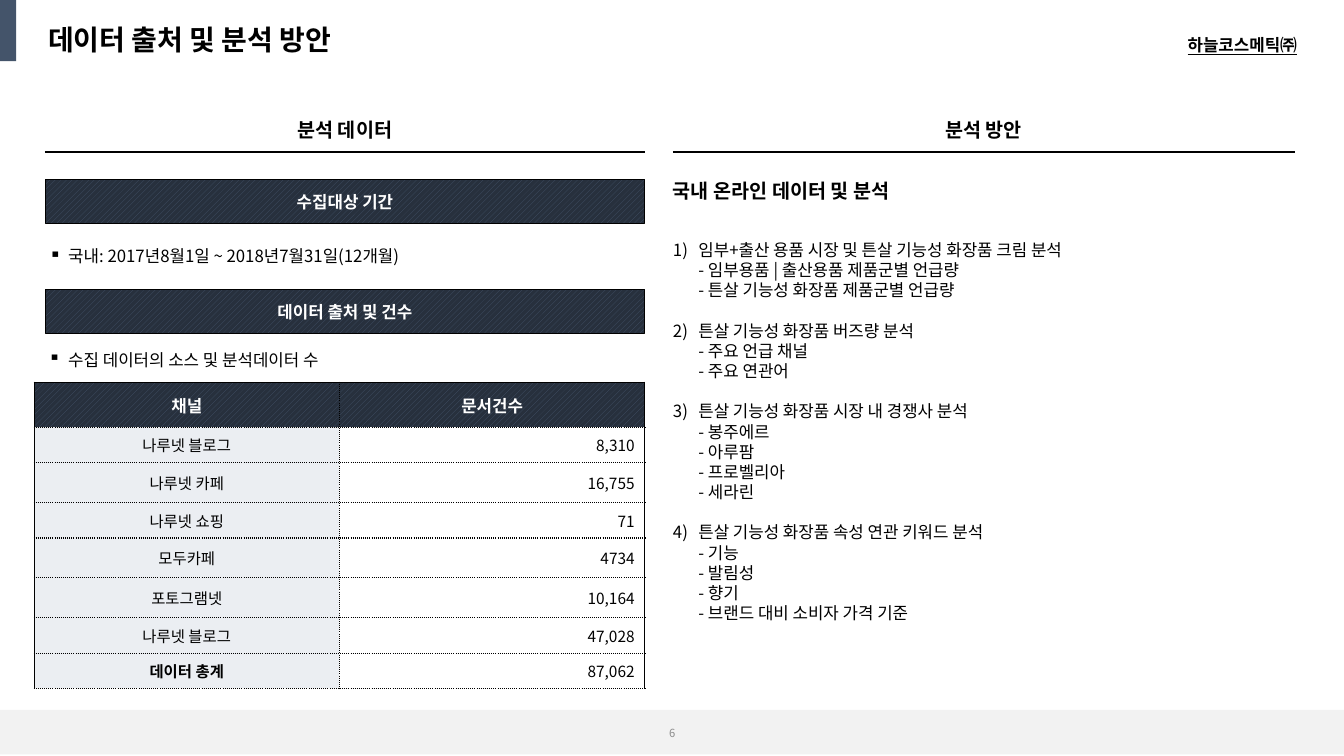
import pptx
import pptx.dml.color
import pptx.enum.dml
import pptx.enum.shapes
import pptx.enum.text
import pptx.oxml
import pptx.oxml.ns
import pptx.util

Cm = pptx.util.Cm
Pt = pptx.util.Pt
qn = pptx.oxml.ns.qn
ALIGN = pptx.enum.text.PP_ALIGN
MIDDLE = pptx.enum.text.MSO_ANCHOR.MIDDLE
TOP = pptx.enum.text.MSO_ANCHOR.TOP
NSDECL = pptx.oxml.ns.nsdecls("a")


def rgb(value):
    return pptx.dml.color.RGBColor.from_string(value)


def border(side, dash):
    return pptx.oxml.parse_xml(
        f'<a:{side} {NSDECL} w="12700"><a:solidFill><a:srgbClr val="000000"/></a:solidFill>'
        f'<a:prstDash val="{dash}"/></a:{side}>')


def write(p, text, size=12, color="000000", bold=False, underline=False,
          align=ALIGN.LEFT, after=0, spacing=None, bullet=None, indent=0.0):
    p.alignment = align
    p.space_before = Pt(0)
    p.space_after = Pt(after)
    if spacing:
        p.line_spacing = spacing
    if bullet:
        pPr = p._p.get_or_add_pPr()
        pPr.set("marL", str(Cm(indent)))
        pPr.set("indent", str(-Cm(indent)))
        pPr.append(pptx.oxml.parse_xml(bullet))
    for i, line in enumerate(text.split("\n")):
        if i:
            p.add_line_break()
        r = p.add_run()
        r.text = line
        r.font.size = Pt(size)
        r.font.bold = bold
        r.font.underline = underline
        r.font.color.rgb = rgb(color)
        r.font.name = Slide.font
        ea = r._r.get_or_add_rPr().makeelement(qn("a:ea"), {"typeface": Slide.font})
        r._r.get_or_add_rPr().append(ea)


class Slide:
    font = "Noto Sans CJK KR"
    navy = "44546A"
    dark = "27303D"
    square = f'<a:buChar {NSDECL} char="▪"/>'
    number = f'<a:buAutoNum {NSDECL} type="arabicParenR"/>'

    def __init__(self, prs):
        self.s = prs.slides.add_slide(prs.slide_layouts[5])

    def frame(self, sp, insets=(0.25, 0.13), anchor=TOP, wrap=True):
        tf = sp.text_frame
        tf.auto_size = pptx.enum.text.MSO_AUTO_SIZE.NONE
        tf.word_wrap = wrap
        tf.vertical_anchor = anchor
        tf.margin_left = tf.margin_right = Cm(insets[0])
        tf.margin_top = tf.margin_bottom = Cm(insets[1])
        return tf

    def hatch(self, fill):
        fill.patterned()
        fill.pattern = pptx.enum.dml.MSO_PATTERN.WIDE_UPWARD_DIAGONAL
        fill.fore_color.rgb = rgb(self.navy)
        fill.back_color.rgb = rgb(self.dark)

    def title(self, text, x, y, w, h):
        sp = self.s.shapes.title
        sp.left, sp.top, sp.width, sp.height = Cm(x), Cm(y), Cm(w), Cm(h)
        write(self.frame(sp, anchor=MIDDLE).paragraphs[0], text, size=20, bold=True)

    def text(self, text, x, y, w, h, insets=(0.25, 0.13), anchor=TOP, wrap=True, **fmt):
        sp = self.s.shapes.add_textbox(Cm(x), Cm(y), Cm(w), Cm(h))
        tf = self.frame(sp, insets, anchor, wrap)
        write(tf.paragraphs[0], text, **fmt)
        return tf

    def rect(self, x, y, w, h, fill=None):
        sp = self.s.shapes.add_shape(
            pptx.enum.shapes.MSO_SHAPE.RECTANGLE, Cm(x), Cm(y), Cm(w), Cm(h))
        sp.shadow.inherit = False
        if fill:
            sp.fill.solid()
            sp.fill.fore_color.rgb = rgb(fill)
            sp.line.fill.background()
        return sp

    def band(self, text, x, y, w, h):
        sp = self.rect(x, y, w, h)
        self.hatch(sp.fill)
        sp.line.color.rgb = rgb("000000")
        sp.line.width = Pt(0.5)
        write(self.frame(sp, (0.25, 0.03), MIDDLE).paragraphs[0], text,
              color="FFFFFF", bold=True, align=ALIGN.CENTER, spacing=1.1)

    def heading(self, text, x, y, w, line_x, line_w):
        self.text(text, x, y, w, 0.86, size=14, bold=True, align=ALIGN.CENTER)
        line = self.s.shapes.add_connector(
            pptx.enum.shapes.MSO_CONNECTOR.STRAIGHT,
            Cm(line_x), Cm(y + 1), Cm(line_x + line_w), Cm(y + 1))
        line.line.color.rgb = rgb("000000")
        line.line.width = Pt(1.5)
        line._element.spPr.append(pptx.oxml.parse_xml(f"<a:effectLst {NSDECL}/>"))

    def table(self, rows, heights, x, y, w):
        table = self.s.shapes.add_table(
            len(rows), 2, Cm(x), Cm(y), Cm(w), Cm(sum(heights))).table
        table.first_row = table.horz_banding = False
        for i, (row, height) in enumerate(zip(rows, heights)):
            table.rows[i].height = Cm(height)
            for j, text in enumerate(row):
                self.cell(table.cell(i, j), text, i, j, len(rows) - 1)

    def cell(self, cell, text, i, j, last):
        head = i == 0
        cell.vertical_anchor = MIDDLE
        if head or (i == last and j == 0):
            cell.margin_left = cell.margin_right = Cm(0.1)
            cell.margin_top = cell.margin_bottom = Cm(0.1)
        if head:
            self.hatch(cell.fill)
        else:
            cell.fill.solid()
            cell.fill.fore_color.rgb = rgb("FFFFFF" if j else "EBEEF2")
        solid = {"lnL": j == 0, "lnR": j == 1, "lnT": head, "lnB": False}
        for k, (side, on) in enumerate(solid.items()):
            cell._tc.get_or_add_tcPr().insert(k, border(side, "solid" if on else "sysDot"))
        write(cell.text_frame.paragraphs[0], text,
              size=12 if head else 11,
              color="FFFFFF" if head else "000000",
              bold=head or (i == last and j == 0),
              align=ALIGN.RIGHT if j and not head else ALIGN.CENTER)


COUNTS = [
    ("채널", "문서건수"),
    ("나루넷 블로그", "8,310"),
    ("나루넷 카페", "16,755"),
    ("나루넷 쇼핑", "71"),
    ("모두카페", "4734"),
    ("포토그램넷", "10,164"),
    ("나루넷 블로그", "47,028"),
    ("데이터 총계", "87,062"),
]
HEIGHTS = [1.14, 0.89, 1.01, 0.89, 1, 1.01, 0.89, 0.88]

PLANS = [
    "임부+출산 용품 시장 및 튼살 기능성 화장품 크림 분석\n"
    "- 임부용품 | 출산용품 제품군별 언급량\n- 튼살 기능성 화장품 제품군별 언급량",
    "튼살 기능성 화장품 버즈량 분석\n- 주요 언급 채널\n- 주요 연관어",
    "튼살 기능성 화장품 시장 내 경쟁사 분석\n- 봉주에르\n- 아루팜\n- 프로벨리아\n- 세라린",
    "튼살 기능성 화장품 속성 연관 키워드 분석\n"
    "- 기능\n- 발림성\n- 향기\n- 브랜드 대비 소비자 가격 기준",
]


def main():
    prs = pptx.Presentation()
    prs.slide_width, prs.slide_height = Cm(33.87), Cm(19.05)
    s = Slide(prs)
    s.rect(0, 0, 0.41, 1.54, Slide.navy)
    s.rect(0, 17.89, 33.87, 1.12, "F2F2F2")
    s.text("6", 13.13, 17.91, 7.62, 1.12, anchor=MIDDLE,
           size=8, color="8C8C8C", align=ALIGN.CENTER)
    s.title("데이터 출처 및 분석 방안", 0.96, 0.43, 13.56, 1.12)
    s.text("하늘코스메틱㈜", 29.44, 0.76, 3.5, 0.76, anchor=MIDDLE, wrap=False,
           bold=True, underline=True, align=ALIGN.RIGHT)

    s.heading("분석 데이터", 3.71, 2.84, 9.96, 1.13, 15.12)
    s.heading("분석 방안", 19.63, 2.84, 10.31, 16.96, 15.68)

    s.band("수집대상 기간", 1.14, 4.52, 15.11, 1.1)
    s.text("국내: 2017년8월1일 ~ 2018년7월31일(12개월)", 1.14, 6.1, 15.11, 0.71,
           insets=(0.1, 0.1), bullet=Slide.square, indent=0.48)
    s.band("데이터 출처 및 건수", 1.14, 7.29, 15.11, 1.1)
    s.text("수집 데이터의 소스 및 분석데이터 수", 1.12, 8.71, 14.83, 0.71,
           insets=(0.1, 0.1), bullet=Slide.square, indent=0.5)
    s.table(COUNTS, HEIGHTS, 0.86, 9.63, 15.39)

    tf = s.text("국내 온라인 데이터 및 분석", 16.96, 4.52, 15.67, 12.24,
                insets=(0, 0), wrap=False, size=14, bold=True, after=26.4)
    for plan in PLANS:
        write(tf.add_paragraph(), plan, after=14.4, bullet=Slide.number, indent=0.64)
    prs.save("out.pptx")


if __name__ == "__main__":
    main()
